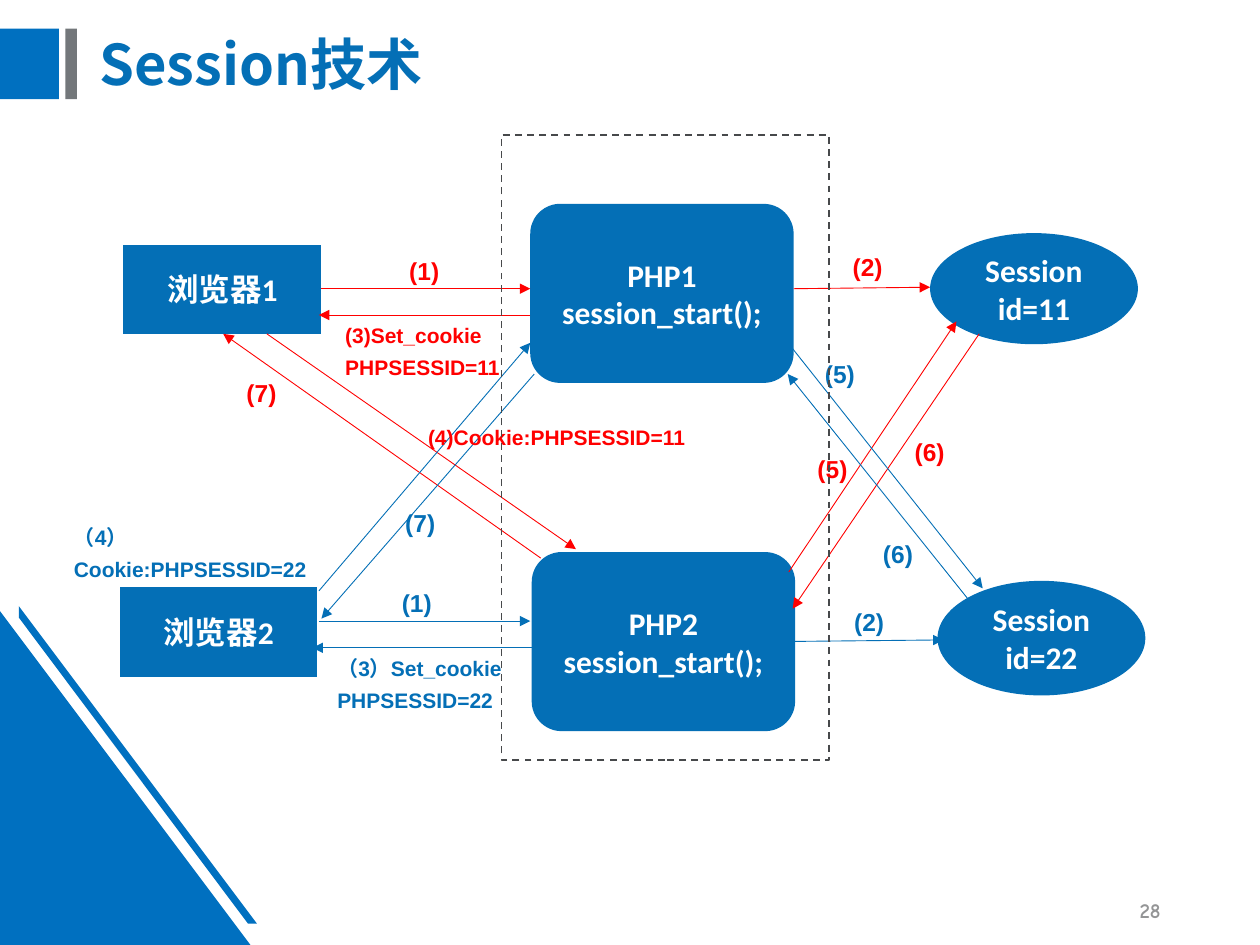
import lxml.etree
import pptx
import pptx.dml.color
import pptx.enum.dml
import pptx.enum.shapes
import pptx.enum.text
import pptx.oxml.ns
import pptx.util

Cm, Pt = pptx.util.Cm, pptx.util.Pt
FORM = pptx.enum.shapes.MSO_SHAPE
SIDE = pptx.enum.text.PP_ALIGN
EDGE = pptx.enum.text.MSO_ANCHOR
qn = pptx.oxml.ns.qn

HUE = {"blue": "046FB6", "trim": "0070C0", "bar": "73777A", "red": "FF0000",
       "white": "FFFFFF", "page": "949596", "dash": "47494B"}
CJK = "Noto Sans CJK SC"

TRIM = [
    (FORM.RECTANGLE, (0, 0.58, 1.19, 1.42), "trim"),
    (FORM.RECTANGLE, (1.32, 0.58, 0.23, 1.42), "bar"),
    (FORM.RIGHT_TRIANGLE, (0, 12.32, 5.05, 6.73), "trim"),
]
STRIPE = [(0.38, 12.22), (5.18, 18.62), (5, 18.62), (0.38, 12.45)]
FRAME = (10.11, 2.72, 6.6, 12.6)

BOX, CARD, OVAL = FORM.FLOWCHART_PROCESS, FORM.FLOWCHART_ALTERNATE_PROCESS, FORM.OVAL
NODES = [
    (BOX, (2.49, 4.93, 3.99, 1.8), ["浏览器1"]),
    (CARD, (10.69, 4.11, 5.31, 3.61), ["PHP1", "session_start();"]),
    (OVAL, (18.75, 4.7, 4.19, 2.24), ["Session", "id=11"]),
    (BOX, (2.41, 11.84, 3.99, 1.8), ["浏览器2"]),
    (CARD, (10.72, 11.13, 5.31, 3.61), ["PHP2", "session_start();"]),
    (OVAL, (18.9, 11.71, 4.19, 2.31), ["Session", "id=22"]),
]
LINES = {
    "red": [
        (6.48, 5.82, 10.69, 5.82), (16, 5.82, 18.75, 5.79),
        (10.69, 6.35, 6.43, 6.35), (5.38, 6.73, 11.61, 11.07),
        (15.9, 11.53, 19.28, 6.48), (19.74, 6.73, 15.98, 12.27),
        (10.9, 11.25, 4.5, 6.73),
    ],
    "blue": [
        (6.43, 12.52, 10.69, 12.52), (16.03, 12.93, 19.02, 12.9),
        (10.77, 13.06, 6.3, 13.06), (6.43, 11.91, 10.69, 6.91),
        (15.9, 6.93, 19.81, 11.86), (19.51, 12.07, 15.88, 7.54),
        (10.77, 7.54, 6.48, 12.47),
    ],
}
STEPS = {
    "red": {"(1)": (8, 4.85), "(2)": (16.94, 4.78), "(5)": (16.23, 8.86),
            "(6)": (18.19, 8.51), "(7)": (4.72, 7.32)},
    "blue": {"(1)": (7.85, 11.56), "(2)": (16.97, 11.94), "(5)": (16.38, 6.93),
             "(6)": (17.55, 10.57), "(7)": (7.92, 9.93)},
}
STEP = (1.38, 1.04)
NOTES = [
    ("red", (6.71, 6.22, 3.86, 1.57), ["(3)Set_cookie", "PHPSESSID=11"]),
    ("red", (8.38, 8.28, 5.89, 0.91), ["(4)Cookie:PHPSESSID=11"]),
    ("blue", (6.55, 12.93, 3.86, 2.24), ["（3）Set_cookie", "PHPSESSID=22"]),
    ("blue", (1.24, 10.29, 6.27, 1.57), ["（4）Cookie:PHPSESSID=22"]),
]


def style(name, size, hue, side=SIDE.LEFT, gap=1.0, edge=EDGE.TOP):
    return {
        "frame": {"word_wrap": True, "vertical_anchor": edge},
        "para": {"alignment": side, "line_spacing": gap},
        "font": {"name": name, "size": Pt(size), "bold": True},
        "hue": hue,
    }


def put(item, look):
    for key, val in look.items():
        setattr(item, key, val)


def tint(hue):
    return pptx.dml.color.RGBColor.from_string(HUE[hue])


def paint(shape, hue):
    shape.shadow.inherit = False
    shape.fill.solid()
    shape.fill.fore_color.rgb = tint(hue)
    shape.line.fill.background()


def write(shape, rows, look):
    frame = shape.text_frame
    put(frame, look["frame"])
    for num, row in enumerate(rows):
        para = frame.add_paragraph() if num else frame.paragraphs[0]
        put(para, look["para"])
        run = para.add_run()
        run.text = row
        put(run.font, look["font"])
        run.font.color.rgb = tint(look["hue"])
        props = run.font._element
        lxml.etree.SubElement(props, qn("a:ea"), typeface=CJK)


def main():
    deck = pptx.Presentation()
    put(deck, {"slide_width": Cm(25.4), "slide_height": Cm(19.05)})
    slide = deck.slides.add_slide(deck.slide_layouts[6])
    art = slide.shapes

    def shape(form, place, hue):
        item = art.add_shape(form, *map(Cm, place))
        paint(item, hue)
        return item

    def text(place, rows, look):
        write(art.add_textbox(*map(Cm, place)), rows, look)

    for part in TRIM:
        shape(*part)
    first, *rest = [(Cm(x), Cm(y)) for x, y in STRIPE]
    pen = art.build_freeform(*first)
    pen.add_line_segments(rest, close=True)
    paint(pen.convert_to_shape(), "trim")

    text((1.75, 0.25, 22.6, 2.21), ["Session技术"],
         style(CJK, 32, "blue", gap=0.9, edge=EDGE.MIDDLE))
    text((17.93, 17.83, 5.72, 1.02), ["28"],
         style("Comic Neue", 12, "page", SIDE.RIGHT, edge=EDGE.MIDDLE))

    label = style("Calibri", 18, "white", SIDE.CENTER, edge=EDGE.MIDDLE)
    for form, place, rows in NODES:
        write(shape(form, place, "blue"), rows, label)

    for hue, ways in LINES.items():
        for way in ways:
            link = art.add_connector(pptx.enum.shapes.MSO_CONNECTOR.STRAIGHT, *map(Cm, way))
            link.line.color.rgb = tint(hue)
            link.line.width = Pt(0.5)
            props = link._element.spPr
            lxml.etree.SubElement(props.find(qn("a:ln")), qn("a:tailEnd"), type="triangle")
            lxml.etree.SubElement(props, qn("a:effectLst"))

    for hue, steps in STEPS.items():
        for word, spot in steps.items():
            text(spot + STEP, [word], style("Arial", 14, hue, gap=1.3))
    for hue, place, rows in NOTES:
        text(place, rows, style("Arial", 12, hue, gap=1.3))

    frame = shape(FORM.RECTANGLE, FRAME, "white")
    frame.fill.background()
    frame.line.color.rgb = tint("dash")
    put(frame.line, {"width": Pt(1), "dash_style": pptx.enum.dml.MSO_LINE.DASH})

    deck.save("out.pptx")


if __name__ == "__main__":
    main()
